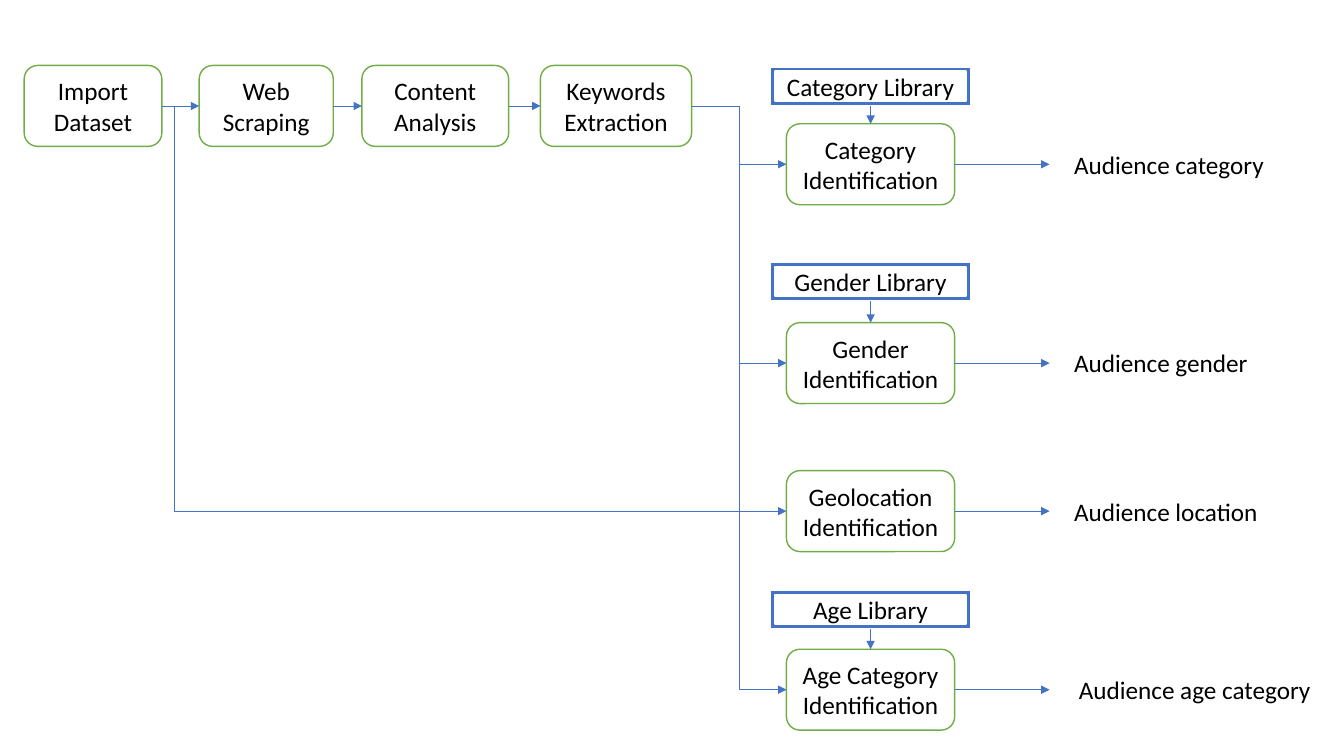
import pptx
import pptx.dml.color
import pptx.enum.shapes
import pptx.enum.text
import pptx.oxml
import pptx.oxml.ns
import pptx.util
from dataclasses import dataclass

Cm = pptx.util.Cm
SHAPES = pptx.enum.shapes.MSO_SHAPE
CONNECTORS = pptx.enum.shapes.MSO_CONNECTOR
ALIGN = pptx.enum.text.PP_ALIGN
TOP, LEFT, BOTTOM, RIGHT = range(4)  # connection sites


@dataclass
class Theme:
    font: str = "Calibri"
    size: float = 18
    text: str = "000000"
    paper: str = "FFFFFF"
    step: str = "70AD47"
    accent: str = "4472C4"
    step_line: float = 1
    frame_line: float = 1.5
    arrow_line: float = 0.5


def apply(target, values):
    for name, value in values.items():
        setattr(target, name, value)


def rgb(value):
    return pptx.dml.color.RGBColor.from_string(value)


class Diagram:
    def __init__(self, page, theme):
        self.page, self.theme = page, theme

    def set_text(self, shape, text, align):
        frame = shape.text_frame
        apply(frame, {"word_wrap": True, "text": text})
        paragraph = frame.paragraphs[0]
        paragraph.alignment = align
        span = paragraph.runs[0]
        apply(span.font, {"name": self.theme.font, "size": pptx.util.Pt(self.theme.size)})
        span.font.color.rgb = rgb(self.theme.text)

    def shape(self, kind, text, place, fill, line, weight):
        box = self.page.shapes.add_shape(kind, *map(Cm, place))
        box.shadow.inherit = False
        box.fill.solid()
        box.fill.fore_color.rgb = rgb(fill)
        box.line.color.rgb = rgb(line)
        box.line.width = pptx.util.Pt(weight)
        box.text_frame.vertical_anchor = pptx.enum.text.MSO_ANCHOR.MIDDLE
        self.set_text(box, text, ALIGN.CENTER)
        return box

    def step(self, text, *place):
        theme = self.theme
        return self.shape(SHAPES.ROUNDED_RECTANGLE, text, place,
                          theme.paper, theme.step, theme.step_line)

    def library(self, text, *place):
        theme = self.theme
        return self.shape(SHAPES.FRAME, text, place,
                          theme.accent, theme.paper, theme.frame_line)

    def label(self, text, align, *place):
        box = self.page.shapes.add_textbox(*map(Cm, place))
        self.set_text(box, text, align)
        box.text_frame.auto_size = pptx.enum.text.MSO_AUTO_SIZE.SHAPE_TO_FIT_TEXT

    def style_arrow(self, arrow):
        arrow.line.color.rgb = rgb(self.theme.accent)
        arrow.line.width = pptx.util.Pt(self.theme.arrow_line)
        namespace = pptx.oxml.ns.nsdecls("a")
        properties = arrow.element.spPr
        properties.find(pptx.oxml.ns.qn("a:ln")).append(
            pptx.oxml.parse_xml(f'<a:tailEnd {namespace} type="triangle"/>'))
        properties.append(pptx.oxml.parse_xml(f"<a:effectLst {namespace}/>"))

    def arrow(self, *ends):
        arrow = self.page.shapes.add_connector(CONNECTORS.STRAIGHT, *map(Cm, ends))
        self.style_arrow(arrow)

    def link(self, source, source_site, target, target_site, bend=None):
        kind = CONNECTORS.STRAIGHT if bend is None else CONNECTORS.ELBOW
        arrow = self.page.shapes.add_connector(kind, 0, 0, 0, 0)
        arrow.begin_connect(source, source_site)
        arrow.end_connect(target, target_site)
        if bend is not None:
            guides = arrow.element.spPr.find(".//" + pptx.oxml.ns.qn("a:avLst"))
            guides.append(pptx.oxml.parse_xml(
                f'<a:gd {pptx.oxml.ns.nsdecls("a")} name="adj1" '
                f'fmla="val {round(bend * 100000)}"/>'))
        self.style_arrow(arrow)


deck = pptx.Presentation()
apply(deck, {"slide_width": Cm(33.87), "slide_height": Cm(19.05)})
diagram = Diagram(deck.slides.add_slide(deck.slide_layouts[6]), Theme())

# Preparation steps along the top
STEP_HEIGHT = 2.04
preparation = [
    diagram.step(text, left, 1.65, width, STEP_HEIGHT)
    for text, left, width in [
        ("Import Dataset", 0.61, 3.47),
        ("Web Scraping", 5.02, 3.38),
        ("Content Analysis", 9.12, 3.7),
        ("Keywords Extraction", 13.62, 3.81),
    ]
]
for before, after in zip(preparation, preparation[1:]):
    diagram.link(before, RIGHT, after, LEFT)
dataset, keywords = preparation[0], preparation[-1]

# Identification rows: feeding step, library and result
IDENTIFY_LEFT, IDENTIFY_WIDTH = 19.82, 4.24
LIBRARY_LEFT, LIBRARY_WIDTH, LIBRARY_HEIGHT = 19.4, 5.08, 0.99
RESULT_LEFT, RESULT_HEIGHT = 26.82, 1.02
rows = [
    ("Category", 3.12, "Category Library", 1.68, "Audience category", 5.54, ALIGN.LEFT),
    ("Gender", 8.13, "Gender Library", 6.6, "Audience gender", 5.23, ALIGN.LEFT),
    ("Geolocation", 11.86, None, None, "Audience location", 5.23, ALIGN.LEFT),
    ("Age Category", 16.36, "Age Library", 14.86, "Audience age category", 6.58, ALIGN.CENTER),
]
for subject, top, library_name, library_top, result, result_width, align in rows:
    identify = diagram.step(f"{subject} Identification", IDENTIFY_LEFT, top,
                            IDENTIFY_WIDTH, STEP_HEIGHT)
    if library_name:
        library = diagram.library(library_name, LIBRARY_LEFT, library_top,
                                  LIBRARY_WIDTH, LIBRARY_HEIGHT)
        diagram.link(library, BOTTOM, identify, TOP)
        diagram.link(keywords, RIGHT, identify, LEFT, bend=0.5)
    else:
        diagram.link(dataset, RIGHT, identify, LEFT, bend=0.02)
    middle = top + STEP_HEIGHT / 2
    diagram.arrow(IDENTIFY_LEFT + IDENTIFY_WIDTH, middle, 26.45, middle)
    diagram.label(result, align, RESULT_LEFT, middle - RESULT_HEIGHT / 2,
                  result_width, RESULT_HEIGHT)

deck.save("out.pptx")
